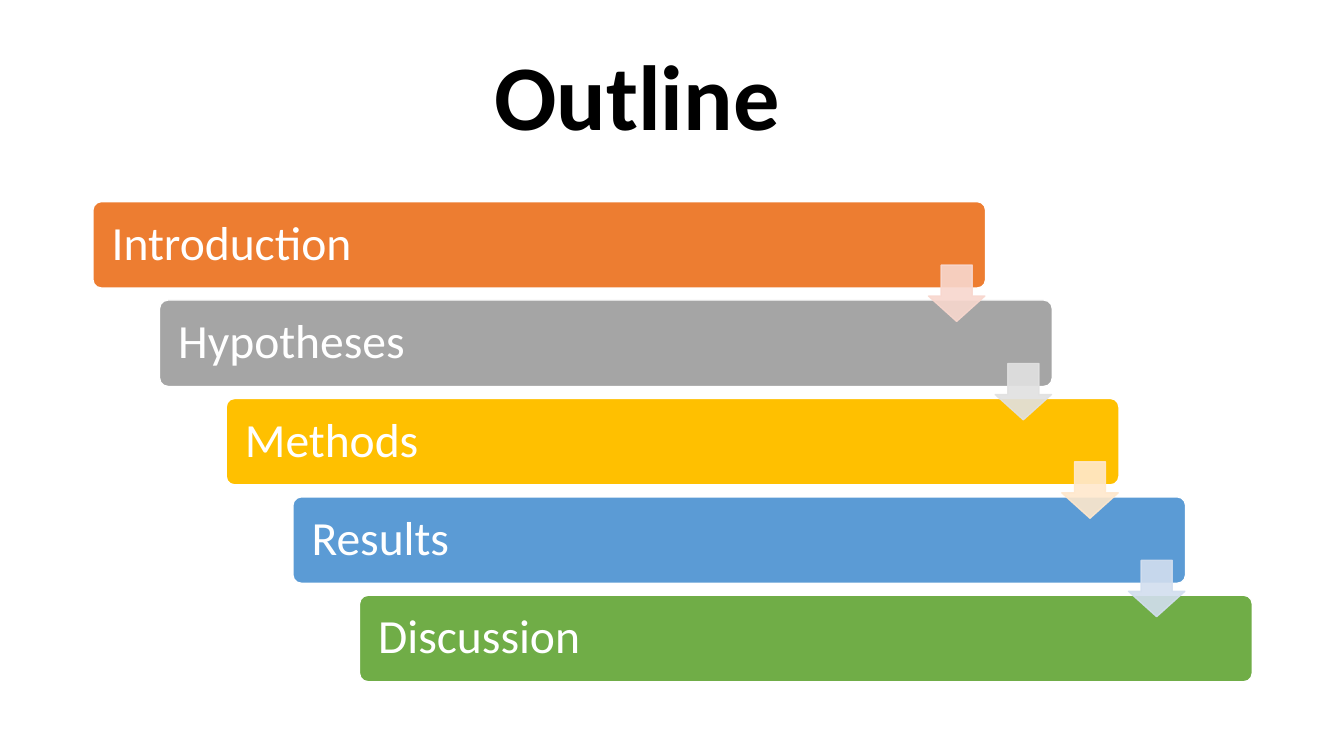
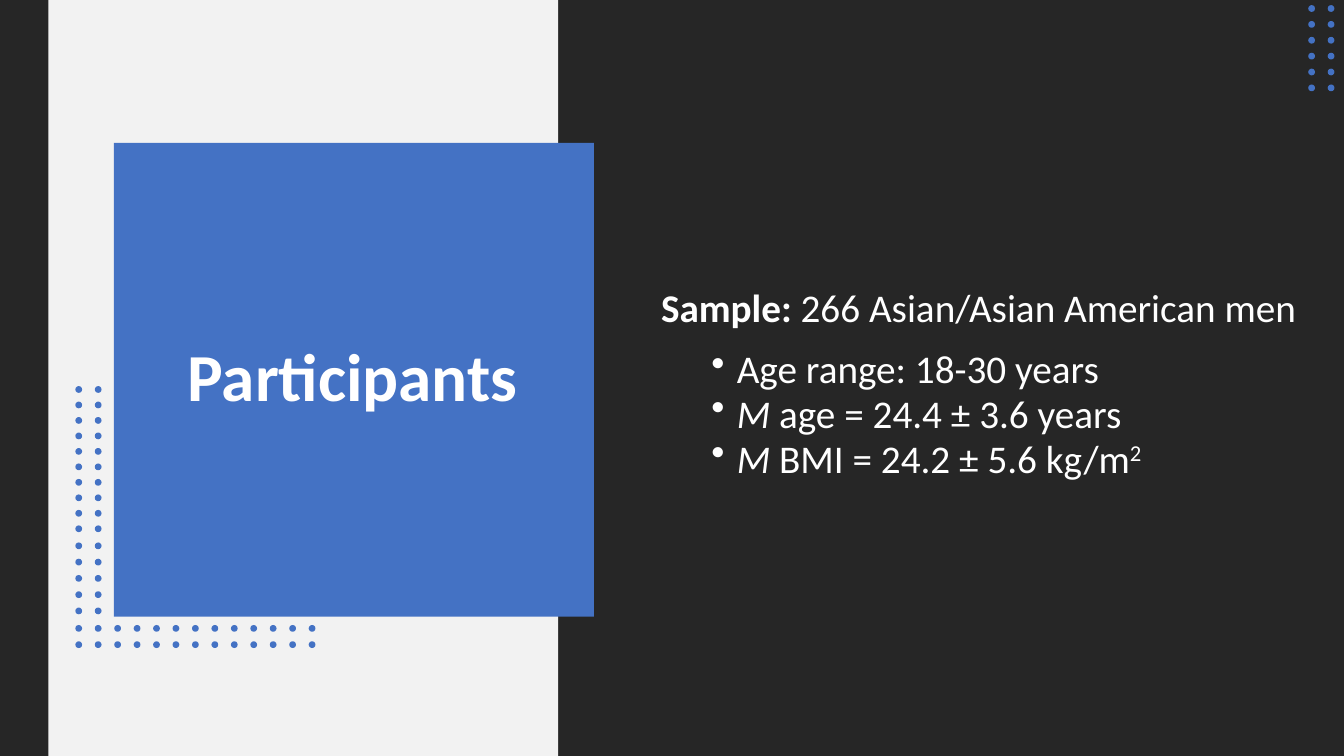
"""Build a two-slide deck: an outline staircase and a participants panel."""
from dataclasses import dataclass
from typing import Optional

import lxml.etree
import pptx
import pptx.dml.color
import pptx.enum.shapes
import pptx.enum.text
import pptx.oxml.ns
import pptx.presentation
import pptx.shapes.autoshape
import pptx.slide
import pptx.text.text
import pptx.util

Cm = pptx.util.Cm
Pt = pptx.util.Pt
RGBColor = pptx.dml.color.RGBColor
Shape = pptx.enum.shapes.MSO_SHAPE
Align = pptx.enum.text.PP_ALIGN
Anchor = pptx.enum.text.MSO_ANCHOR

FONT = "Calibri"
BLACK = RGBColor(0x00, 0x00, 0x00)
WHITE = RGBColor(0xFF, 0xFF, 0xFF)
CHARCOAL = RGBColor(0x26, 0x26, 0x26)
PALE_GREY = RGBColor(0xF2, 0xF2, 0xF2)
BLUE = RGBColor(0x44, 0x72, 0xC4)
ORANGE = RGBColor(0xED, 0x7D, 0x31)
GREY = RGBColor(0xA5, 0xA5, 0xA5)
GOLD = RGBColor(0xFF, 0xC0, 0x00)
SKY = RGBColor(0x5B, 0x9B, 0xD5)
GREEN = RGBColor(0x70, 0xAD, 0x47)
PALE_ORANGE = RGBColor(0xF8, 0xD7, 0xCE)
LIGHT_GREY = RGBColor(0xE1, 0xE1, 0xE1)
PALE_GOLD = RGBColor(0xFF, 0xE8, 0xCC)
PALE_SKY = RGBColor(0xD2, 0xDE, 0xEF)

SLIDE_WIDTH, SLIDE_HEIGHT = 33.87, 19.05
STEP_X, STEP_Y = 1.68, 2.48
DOT_SIZE = 0.17
DOT_PITCH_X = 0.49


@dataclass(frozen=True)
class Area:
    """A rectangle in centimetres."""
    left: float
    top: float
    width: float
    height: float


@dataclass(frozen=True)
class Step:
    """One bar of the staircase and the arrow that leaves it."""
    label: str
    color: RGBColor
    arrow: Optional[RGBColor] = None


@dataclass(frozen=True)
class DotGrid:
    """A block of dots at an even pitch."""
    left: float
    top: float
    columns: int
    rows: int
    pitch_y: float


@dataclass(frozen=True)
class Span:
    """A piece of text with its own emphasis."""
    text: str
    bold: bool = False
    italic: bool = False
    raised: bool = False


STEPS = (
    Step("Introduction", ORANGE, PALE_ORANGE),
    Step("Hypotheses", GREY, LIGHT_GREY),
    Step("Methods", GOLD, PALE_GOLD),
    Step("Results", SKY, PALE_SKY),
    Step("Discussion", GREEN),
)
PANELS = (
    (Area(0, 0, SLIDE_WIDTH, SLIDE_HEIGHT), CHARCOAL),
    (Area(1.22, 0, 12.85, SLIDE_HEIGHT), PALE_GREY),
    (Area(2.87, 3.6, 12.1, 11.94), BLUE),
)
DOT_GRIDS = (
    DotGrid(32.97, 0.13, 2, 6, 0.4),
    DotGrid(1.9, 9.73, 2, 10, 0.39),
    DotGrid(1.9, 13.67, 2, 5, 0.41),
    DotGrid(1.9, 15.75, 13, 2, 0.41),
)
SAMPLE = (Span("Sample: ", bold=True), Span("266 Asian/Asian American men"))
DETAILS = (
    (Span("Age range: 18-30 years"),),
    (Span("M ", italic=True), Span("age = 24.4 ± 3.6 years")),
    (Span("M ", italic=True), Span("BMI = 24.2 ± 5.6 kg/m"), Span("2", raised=True)),
)


def set_font(paragraph: pptx.text.text._Paragraph, size: float, color: RGBColor,
             bold: bool = False) -> None:
    """Set the font that all runs of a paragraph share."""
    paragraph.font.name = FONT
    paragraph.font.size = Pt(size)
    paragraph.font.color.rgb = color
    paragraph.font.bold = bold


def set_margins(frame: pptx.text.text.TextFrame, margin: float) -> None:
    """Set the side margins of a text frame and clear the others."""
    frame.margin_left = frame.margin_right = Cm(margin)
    frame.margin_top = frame.margin_bottom = 0


def add_title(page: pptx.slide.Slide, text: str, area: Area, size: float,
              color: RGBColor) -> None:
    """Fill the title placeholder and bring it in front of earlier shapes."""
    title = page.shapes.title
    title.left, title.top = Cm(area.left), Cm(area.top)
    title.width, title.height = Cm(area.width), Cm(area.height)
    frame = title.text_frame
    frame.text = text
    frame.word_wrap = True
    frame.auto_size = pptx.enum.text.MSO_AUTO_SIZE.NONE
    frame.vertical_anchor = Anchor.MIDDLE
    paragraph = frame.paragraphs[0]
    paragraph.alignment = Align.CENTER
    paragraph.line_spacing = 0.9
    set_font(paragraph, size, color, bold=True)
    page.shapes._spTree.append(title._element)


def add_filled(page: pptx.slide.Slide, kind: Shape, area: Area,
               color: RGBColor) -> pptx.shapes.autoshape.Shape:
    """Add a flat shape with a solid fill and no outline."""
    shape = page.shapes.add_shape(kind, Cm(area.left), Cm(area.top),
                                  Cm(area.width), Cm(area.height))
    shape.shadow.inherit = False
    shape.fill.solid()
    shape.fill.fore_color.rgb = color
    shape.line.fill.background()
    return shape


def add_bar(page: pptx.slide.Slide, step: Step, index: int) -> None:
    """Add one labelled bar of the staircase."""
    area = Area(2.34 + index * STEP_X, 5.08 + index * STEP_Y, 22.5, 2.18)
    bar = add_filled(page, Shape.ROUNDED_RECTANGLE, area, step.color)
    bar.adjustments[0] = 0.1
    bar.line.color.rgb = WHITE
    bar.line.width = Pt(1)
    frame = bar.text_frame
    frame.text = step.label
    frame.word_wrap = True
    frame.vertical_anchor = Anchor.MIDDLE
    set_margins(frame, 0.41)
    paragraph = frame.paragraphs[0]
    paragraph.alignment = Align.LEFT
    paragraph.line_spacing = 0.9
    set_font(paragraph, 34, WHITE)


def add_step_arrow(page: pptx.slide.Slide, color: RGBColor, index: int) -> None:
    """Add the slightly transparent arrow from one bar to the next."""
    area = Area(23.4 + index * STEP_X, 6.68 + index * STEP_Y, 1.42, 1.42)
    arrow = add_filled(page, Shape.DOWN_ARROW, area, color)
    arrow.adjustments[0] = 0.55
    arrow.adjustments[1] = 0.45
    arrow.line.color.rgb = color
    arrow.line.width = Pt(1)
    for tint in arrow._element.spPr.iter(pptx.oxml.ns.qn("a:srgbClr")):
        lxml.etree.SubElement(tint, pptx.oxml.ns.qn("a:alpha"), val="90000")


def add_dots(page: pptx.slide.Slide, grid: DotGrid) -> None:
    """Add a block of evenly spaced dots."""
    for row in range(grid.rows):
        for column in range(grid.columns):
            area = Area(grid.left + column * DOT_PITCH_X,
                        grid.top + row * grid.pitch_y, DOT_SIZE, DOT_SIZE)
            add_filled(page, Shape.OVAL, area, BLUE)


def write_spans(paragraph: pptx.text.text._Paragraph, spans: tuple[Span, ...]) -> None:
    """Write the spans of one line in the body style."""
    paragraph.line_spacing = 0.8
    set_font(paragraph, 28, WHITE)
    for span in spans:
        run = paragraph.add_run()
        run.text = span.text
        if span.bold:
            run.font.bold = True
        if span.italic:
            run.font.italic = True
        if span.raised:
            run.font._element.set("baseline", "30000")


def add_bullet(paragraph: pptx.text.text._Paragraph) -> None:
    """Give a paragraph a hanging bullet."""
    properties = paragraph._p.get_or_add_pPr()
    properties.set("marL", str(Cm(1.91)))
    properties.set("indent", str(Cm(-0.64)))
    lxml.etree.SubElement(properties, pptx.oxml.ns.qn("a:buChar"), char="•")


def add_sample_text(page: pptx.slide.Slide) -> None:
    """Add the sample line and its bulleted details."""
    box = page.shapes.add_textbox(Cm(16.41), Cm(7.37), Cm(16.74), Cm(4.85))
    frame = box.text_frame
    frame.word_wrap = True
    frame.vertical_anchor = Anchor.TOP
    set_margins(frame, 0.25)
    heading = frame.paragraphs[0]
    heading.space_after = Pt(12)
    write_spans(heading, SAMPLE)
    for spans in DETAILS:
        paragraph = frame.add_paragraph()
        add_bullet(paragraph)
        paragraph.space_before = Pt(5)
        write_spans(paragraph, spans)


def add_page(deck: pptx.presentation.Presentation) -> pptx.slide.Slide:
    """Add a slide with the title-only layout."""
    return deck.slides.add_slide(deck.slide_layouts.get_by_name("Title Only"))


def build_outline(deck: pptx.presentation.Presentation) -> None:
    """Build the outline slide."""
    page = add_page(deck)
    add_title(page, "Outline", Area(1.45, 0.97, 29.21, 3.15), 66, BLACK)
    for index, step in enumerate(STEPS):
        add_bar(page, step, index)
    for index, step in enumerate(STEPS):
        if step.arrow is not None:
            add_step_arrow(page, step.arrow, index)


def build_participants(deck: pptx.presentation.Presentation) -> None:
    """Build the participants slide."""
    page = add_page(deck)
    for area, color in PANELS:
        add_filled(page, Shape.RECTANGLE, area, color)
    add_title(page, "Participants", Area(3.68, 4.42, 10.41, 10.29), 48, WHITE)
    for grid in DOT_GRIDS:
        add_dots(page, grid)
    add_sample_text(page)


def main() -> None:
    """Build and save the deck."""
    deck = pptx.Presentation()
    deck.slide_width, deck.slide_height = Cm(SLIDE_WIDTH), Cm(SLIDE_HEIGHT)
    build_outline(deck)
    build_participants(deck)
    deck.save("out.pptx")


main()
